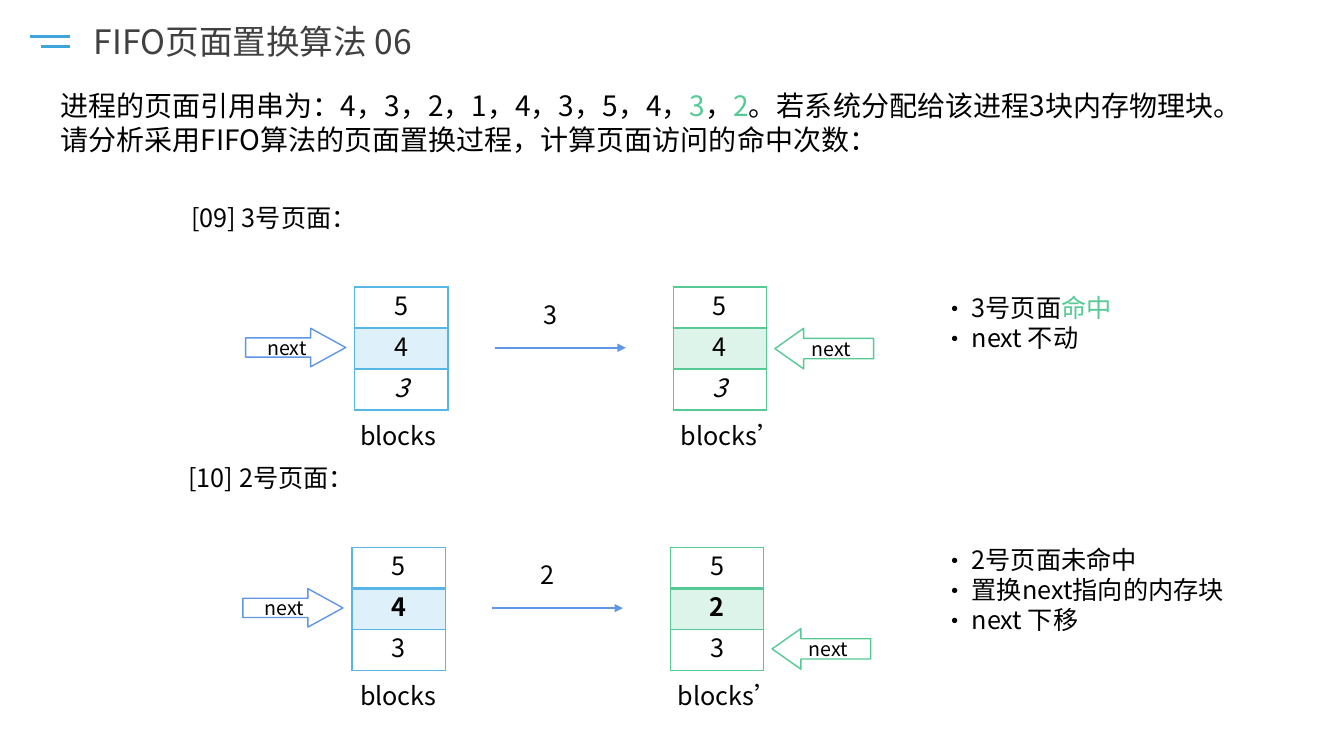
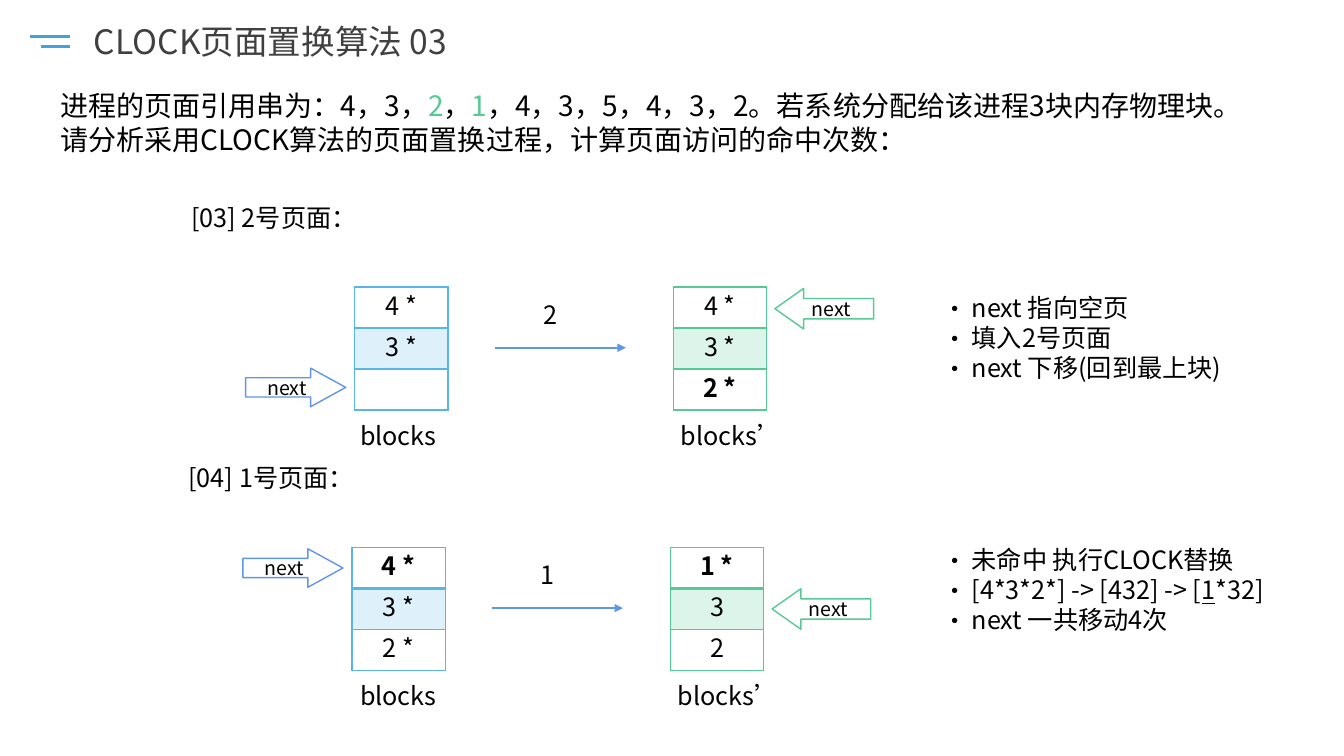
import pptx
import pptx.dml.color
import pptx.enum.shapes
import pptx.enum.text
import pptx.oxml.ns
import pptx.util
from lxml import etree

Pt = pptx.util.Pt
qn = pptx.oxml.ns.qn
rgb = pptx.dml.color.RGBColor.from_string
SHAPES = pptx.enum.shapes.MSO_SHAPE
ALIGN = pptx.enum.text.PP_ALIGN

FONT = "Noto Sans CJK SC"
COLORS = {
    "title": "404040", "text": "000000", "white": "FFFFFF", "mark": "3FA4DE",
    "arrow": "6096E6", "before": "58B6E5", "before_tint": "DEF0FA",
    "after": "56CA95", "after_tint": "DDF4EA",
}
ROW_HEIGHT = 29.3
BLOCK_WIDTH = 66.5

# Each paragraph is a list of (text, style) runs; each block is (text, style).
# "pointer" gives the block that next points to, before and after the access.
SLIDES = [
    {
        "title": "FIFO页面置换算法 06",
        "intro": [
            [("进程的页面引用串为：4，3，2，1，4，3，5，4，", ""), ("3", "hit"), ("，", ""),
             ("2", "hit"), ("。若系统分配给该进程3块内存物理块。", "")],
            [("请分析采用FIFO算法的页面置换过程，计算页面访问的命中次数：", "")],
        ],
        "cases": [
            {
                "label": "[09] 3号页面：", "page": "3", "pointer": (1, 1),
                "before": [("5", ""), ("4", ""), ("3", "italic")],
                "after": [("5", ""), ("4", ""), ("3", "italic")],
                "notes": [[("3号页面", ""), ("命中", "hit")], [("next 不动", "")]],
            },
            {
                "label": "[10] 2号页面：", "page": "2", "pointer": (1, 2),
                "before": [("5", ""), ("4", "bold"), ("3", "")],
                "after": [("5", ""), ("2", "bold"), ("3", "")],
                "notes": [[("2号页面未命中", "")], [("置换next指向的内存块", "")],
                          [("next 下移", "")]],
            },
        ],
    },
    {
        "title": "CLOCK页面置换算法 03",
        "intro": [
            [("进程的页面引用串为：4，3，", ""), ("2", "hit"), ("，", ""), ("1", "hit"),
             ("，4，3，5，4，3，2。若系统分配给该进程3块内存物理块。", "")],
            [("请分析采用CLOCK算法的页面置换过程，计算页面访问的命中次数：", "")],
        ],
        "cases": [
            {
                "label": "[03] 2号页面：", "page": "2", "pointer": (2, 0),
                "before": [("4 *", ""), ("3 *", ""), ("", "")],
                "after": [("4 *", ""), ("3 *", ""), ("2 *", "bold")],
                "notes": [[("next 指向空页", "")], [("填入2号页面", "")],
                          [("next 下移(回到最上块)", "")]],
            },
            {
                "label": "[04] 1号页面：", "page": "1", "pointer": (0, 1),
                "before": [("4 *", "bold"), ("3 *", ""), ("2 *", "")],
                "after": [("1 *", "bold"), ("3", ""), ("2", "")],
                "notes": [
                    [("未命中 执行CLOCK替换", "")],
                    [("[4*3*2*] -> [432] -> [", ""), ("1", "underline"), ("*32]", "")],
                    [("next 一共移动4次", "")],
                ],
            },
        ],
    },
]


def write(frame, paragraphs, size=18, align=ALIGN.LEFT, color="text", bullets=False):
    """Fill a text frame with paragraphs of (text, style) runs."""
    for number, runs in enumerate(paragraphs):
        paragraph = frame.paragraphs[0] if number == 0 else frame.add_paragraph()
        paragraph.alignment = align
        if bullets:
            props = paragraph._p.get_or_add_pPr()
            props.set("marL", str(Pt(21)))
            props.set("indent", str(-Pt(21)))
            etree.SubElement(props, qn("a:buFont"), typeface=FONT)
            etree.SubElement(props, qn("a:buChar"), char="·")
        paragraph.line_spacing = Pt(size * 1.2)
        for text, style in runs:
            run = paragraph.add_run()
            run.text = text
            run.font.size = Pt(size)
            run.font.name = FONT
            run.font.bold = style == "bold"
            run.font.italic = style == "italic"
            run.font.underline = style == "underline"
            run.font.color.rgb = rgb(COLORS["after" if style == "hit" else color])
            etree.SubElement(run._r.get_or_add_rPr(), qn("a:ea"), typeface=FONT)


def draw_line(slide, left, right, y, color, width):
    """Draw a horizontal line and return it."""
    line = slide.shapes.add_connector(
        pptx.enum.shapes.MSO_CONNECTOR.STRAIGHT, Pt(left), Pt(y), Pt(right), Pt(y))
    line.line.color.rgb = rgb(COLORS[color])
    line.line.width = Pt(width)
    etree.SubElement(line._element.spPr, qn("a:effectLst"))
    return line


deck = pptx.Presentation()
deck.slide_width, deck.slide_height = Pt(960), Pt(540)

for content in SLIDES:
    slide = deck.slides.add_slide(deck.slide_layouts[6])

    # Title mark
    draw_line(slide, 29.5, 50, 33, "mark", 2.25)
    draw_line(slide, 21.5, 50, 26, "mark", 2.25)

    # Text boxes: place, paragraphs, format
    texts = [
        ((60, 11.5, 400, 36), [[(content["title"], "")]], {"size": 24, "color": "title"}),
        ((36, 60, 895, 79), content["intro"], {"size": 20}),
    ]

    for number, case in enumerate(content["cases"]):
        dx, dy = -2 * number, 186 * number
        texts += [
            ((129.5 + dx, 141 + dy, 480, 29), [[(case["label"], "")]], {}),
            ((381 + dx, 210 + dy, 66, 29), [[(case["page"], "")]], {}),
            ((666, 205 + 180 * number, 255.5, 73), case["notes"], {"bullets": True}),
            ((241, 296.5 + dy, 87, 29), [[("blocks", "")]], {"align": ALIGN.CENTER}),
            ((479 + dx, 296.5 + dy, 87, 29), [[("blocks’", "")]], {"align": ALIGN.CENTER}),
        ]

        # Memory blocks before and after the access
        for state, left in (("before", 253.5), ("after", 481)):
            table = slide.shapes.add_table(
                3, 1, Pt(left + dx), Pt(205 + dy), Pt(BLOCK_WIDTH), Pt(3 * ROW_HEIGHT)).table
            table.first_row = table.horz_banding = False
            for row, block in enumerate(case[state]):
                table.rows[row].height = Pt(ROW_HEIGHT)
                cell = table.cell(row, 0)
                write(cell.text_frame, [[block]] if block[0] else [[]], align=ALIGN.CENTER)
                props = cell._tc.get_or_add_tcPr()
                for side in "LRTB":
                    thick = (row, side) in ((0, "B"), (1, "T"))
                    edge = etree.SubElement(
                        props, qn("a:ln" + side), w=str(Pt(2 if thick else 1)))
                    paint = etree.SubElement(edge, qn("a:solidFill"))
                    etree.SubElement(paint, qn("a:srgbClr"), val=COLORS[state])
                if row == 1:
                    cell.fill.solid()
                    cell.fill.fore_color.rgb = rgb(COLORS[state + "_tint"])
                else:
                    cell.fill.background()

        # Transition arrow
        transition = draw_line(slide, 353.5 + dx, 447 + dx, 248.4 + dy, "arrow", 1.5)
        etree.SubElement(transition.line._get_or_add_ln(), qn("a:tailEnd"), type="triangle")

        # Pointers to the next block
        pointers = (
            (SHAPES.RIGHT_ARROW, 175.5, 71.5, 27.5, 0.91, "arrow"),
            (SHAPES.LEFT_ARROW, 553.5, 70.5, 29, 0.71, "after"),
        )
        for row, (kind, left, width, height, head, color) in zip(case["pointer"], pointers):
            pointer = slide.shapes.add_shape(
                kind, Pt(left + dx), Pt(206 + 28.5 * row + dy), Pt(width), Pt(height))
            pointer.adjustments[1] = head
            pointer.shadow.inherit = False
            pointer.fill.solid()
            pointer.fill.fore_color.rgb = rgb(COLORS["white"])
            pointer.line.color.rgb = rgb(COLORS[color])
            pointer.line.width = Pt(1)
            pointer.text_frame.vertical_anchor = pptx.enum.text.MSO_ANCHOR.MIDDLE
            write(pointer.text_frame, [[("next", "")]], size=14, align=ALIGN.CENTER)

    for place, paragraphs, style in texts:
        frame = slide.shapes.add_textbox(*map(Pt, place)).text_frame
        frame.word_wrap = True
        write(frame, paragraphs, **style)

deck.save("out.pptx")
